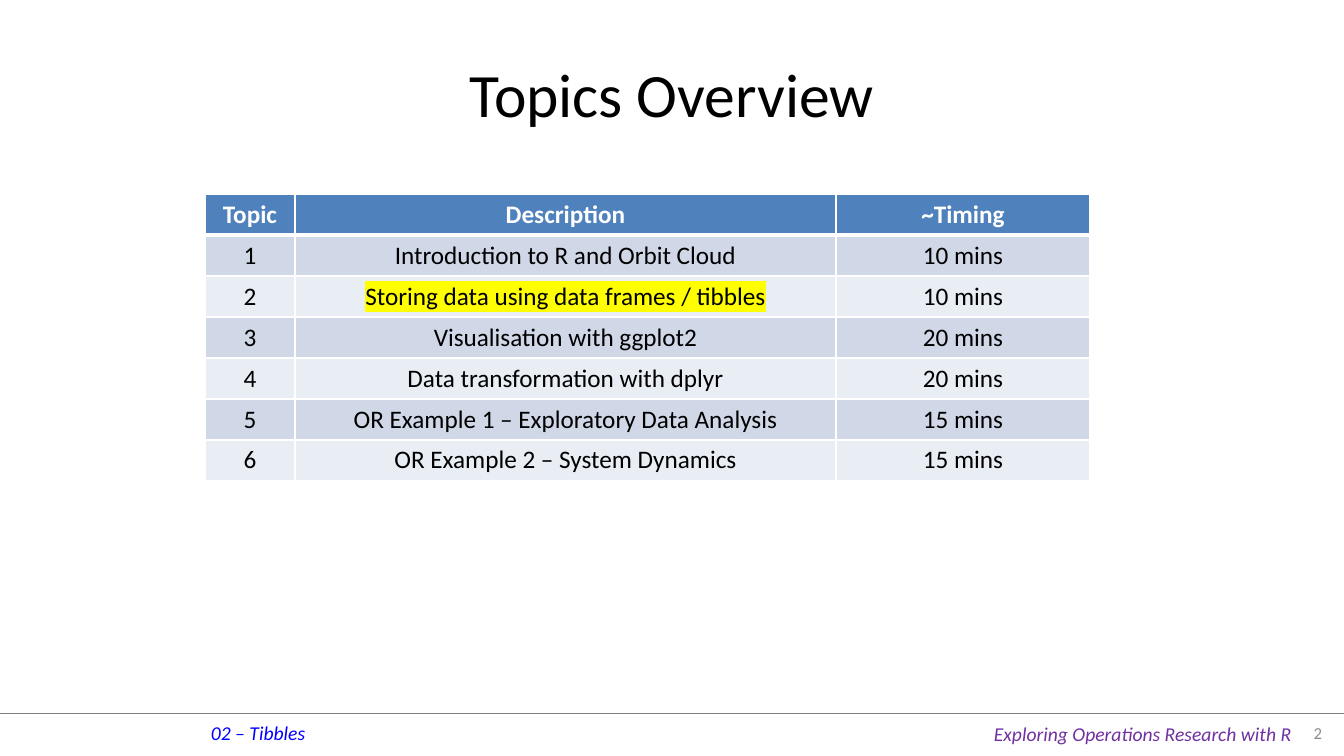
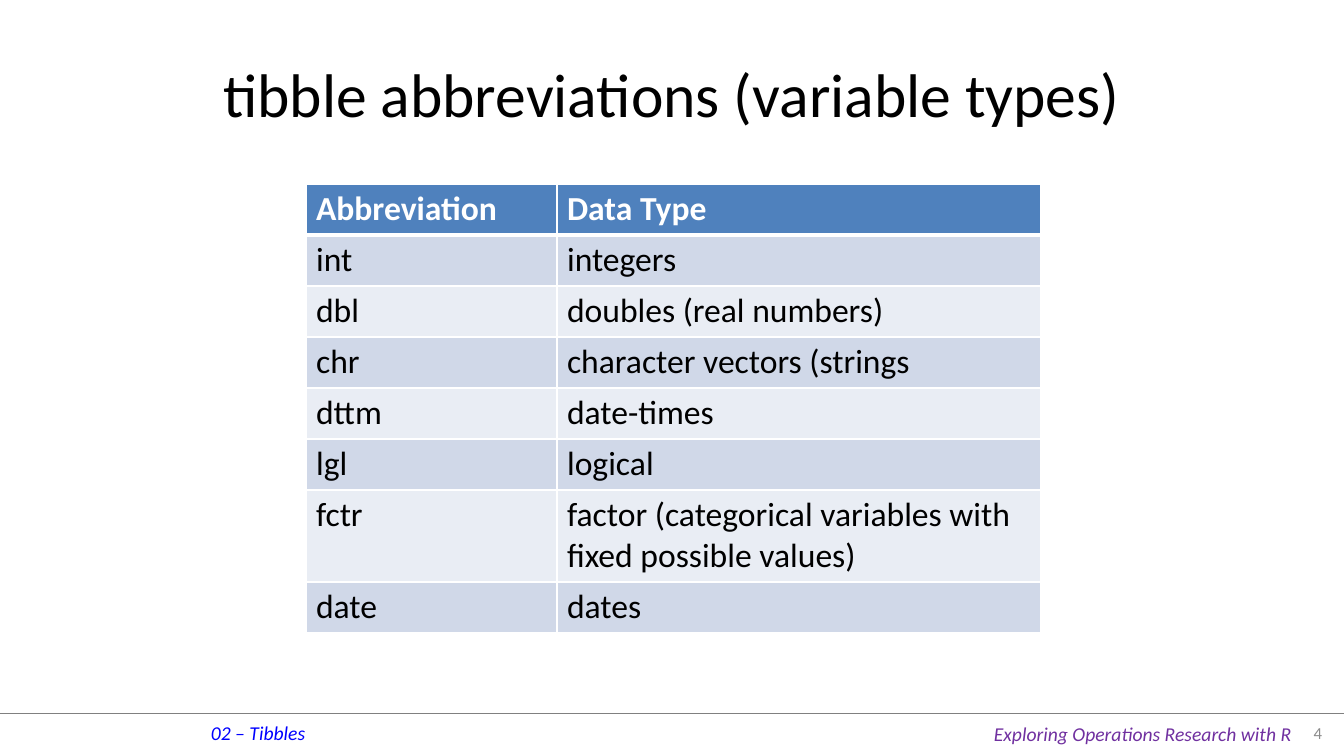
from pptx import Presentation
from pptx import util as u
from pptx.dml.color import RGBColor
from pptx.enum import shapes, text
from pptx.oxml import ns
from lxml import etree

WIDE, HIGH = 1344, 756
SCALE = 12192000 / WIDE
FACE = "Calibri"
BLACK, WHITE, GREY, RULE = "000000", "FFFFFF", "8C8C8C", "808080"
BLUE, PURPLE, YELLOW = "0000FF", "7030A0", "FFFF00"
HEAD, BANDS = "4F81BD", ("D0D8E8", "E9EDF4")
LEFT, MID, RIGHT = text.PP_ALIGN.LEFT, text.PP_ALIGN.CENTER, text.PP_ALIGN.RIGHT
TOP, MIDDLE = text.MSO_ANCHOR.TOP, text.MSO_ANCHOR.MIDDLE

TOPICS = [
    ("Topic", "Description", "~Timing"),
    ("1", "Introduction to R and Orbit Cloud", "10 mins"),
    ("2", "Storing data using data frames / tibbles", "10 mins"),
    ("3", "Visualisation with ggplot2", "20 mins"),
    ("4", "Data transformation with dplyr", "20 mins"),
    ("5", "OR Example 1 – Exploratory Data Analysis", "15 mins"),
    ("6", "OR Example 2 – System Dynamics", "15 mins"),
]
TYPES = [
    ("Abbreviation", "Data Type"),
    ("int", "integers"),
    ("dbl", "doubles (real numbers)"),
    ("chr", "character vectors (strings"),
    ("dttm", "date-times"),
    ("lgl", "logical"),
    ("fctr", "factor (categorical variables with fixed possible values)"),
    ("date", "dates"),
]


def px(n):
    return u.Emu(round(n * SCALE))


def color(code):
    return RGBColor.from_string(code)


def write(frame, words, size, ink, align=LEFT, **style):
    """Put one styled run in a text frame and return it."""
    para = frame.paragraphs[0]
    para.alignment = align
    run = para.add_run()
    run.text = words
    for key, val in {"name": FACE, "size": u.Pt(size), **style}.items():
        setattr(run.font, key, val)
    run.font.color.rgb = color(ink)
    return run


def label(slide, box, words, size, ink, align=LEFT, anchor=TOP, wrap=True, **style):
    frame = slide.shapes.add_textbox(*map(px, box)).text_frame
    frame.word_wrap = wrap
    frame.vertical_anchor = anchor
    write(frame, words, size, ink, align, **style)


def rule(slide, y):
    line = slide.shapes.add_connector(
        shapes.MSO_CONNECTOR.STRAIGHT, 0, px(y), px(WIDE), px(y))
    line.line.color.rgb = color(RULE)
    line.line.width = u.Pt(0.25)
    etree.SubElement(line._element.spPr, ns.qn("a:effectLst"))


def mark(run, ink):
    """Highlight a run; the element must follow the text fill."""
    light = etree.Element(ns.qn("a:highlight"))
    etree.SubElement(light, ns.qn("a:srgbClr"), val=ink)
    run.font._element.find(ns.qn("a:solidFill")).addnext(light)


def border(cell, widths):
    """Draw white cell edges; they must come before the fill."""
    props = cell._tc.get_or_add_tcPr()
    for spot, (side, width) in enumerate(widths.items()):
        edge = etree.Element(ns.qn("a:ln" + side), w=str(u.Pt(width)))
        fill = etree.SubElement(edge, ns.qn("a:solidFill"))
        etree.SubElement(fill, ns.qn("a:srgbClr"), val=WHITE)
        props.insert(spot, edge)


def grid(slide, x, y, cols, rows, data, size, align=LEFT, bright=None):
    """Add a table with a header row and two alternating row colours."""
    table = slide.shapes.add_table(
        len(rows), len(cols), *map(px, (x, y, sum(cols), sum(rows)))).table
    for col, width in zip(table.columns, cols):
        col.width = px(width)
    for r, (row, height) in enumerate(zip(data, rows)):
        table.rows[r].height = px(height)
        top = r == 0
        edges = {"L": 1, "R": 1, "T": 3 if r == 1 else 1, "B": 3 if top else 1}
        for c, words in enumerate(row):
            cell = table.cell(r, c)
            cell.fill.solid()
            cell.fill.fore_color.rgb = color(HEAD if top else BANDS[(r - 1) % 2])
            border(cell, edges)
            run = write(cell.text_frame, words, size,
                        WHITE if top else BLACK, align, bold=top)
            if (r, c) == bright:
                mark(run, YELLOW)


def page(deck, title, number):
    """Start a slide with the shared footer and title."""
    slide = deck.slides.add_slide(deck.slide_layouts[6])
    rule(slide, 713)
    label(slide, (201, 716, 116, 34), "02 – Tibbles", 14, BLUE,
          wrap=False, italic=True)
    label(slide, (984, 717, 321, 34), "Exploring Operations Research with R",
          14, PURPLE, wrap=False, italic=True)
    label(slide, (67, 30, 1210, 126), title, 44, BLACK, MID, MIDDLE)
    label(slide, (1277, 713, 55, 40), number, 12, GREY, RIGHT, MIDDLE)
    return slide


def main():
    deck = Presentation()
    deck.slide_width, deck.slide_height = px(WIDE), px(HIGH)

    # Topics with timing
    slide = page(deck, "Topics Overview", "2")
    grid(slide, 205, 194, (90, 541, 254), [41] * 7, TOPICS, 18, MID, bright=(2, 1))

    # Variable types, with one two-line row
    slide = page(deck, "tibble abbreviations (variable types)", "4")
    grid(slide, 306, 184, (251, 484), [51] * 6 + [92, 51], TYPES, 24)

    deck.save("out.pptx")


if __name__ == "__main__":
    main()
